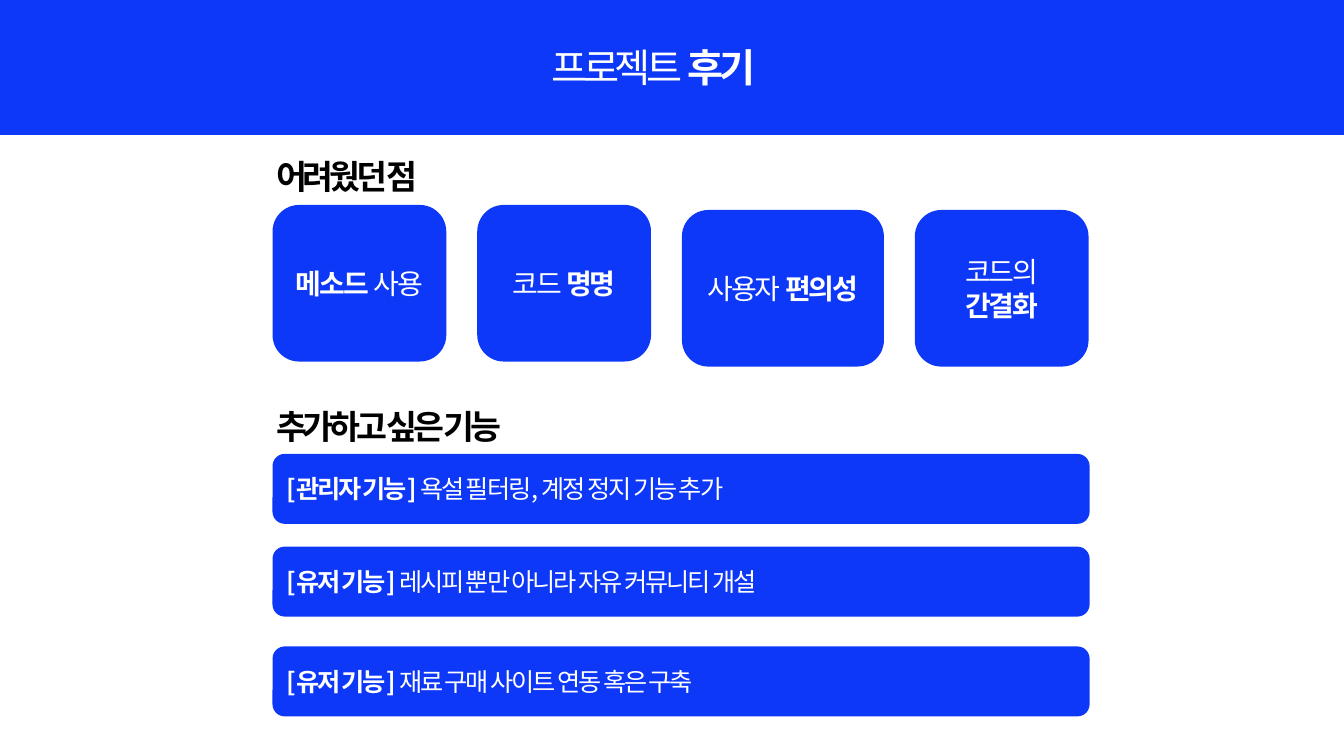
"""Build the project review slide: difficulties met and features to add."""
import pptx
import pptx.dml.color
import pptx.enum.shapes
import pptx.enum.text
import pptx.oxml.ns
import pptx.util
from lxml import etree

PX = 9144
FONT = "Noto Sans CJK KR"
COLORS = {"blue": "0D38F7", "white": "FFFFFF", "black": "000000"}
SHAPES = pptx.enum.shapes.MSO_SHAPE
ALIGN = pptx.enum.text.PP_ALIGN
ANCHOR = pptx.enum.text.MSO_ANCHOR
AUTO_SIZE = pptx.enum.text.MSO_AUTO_SIZE

STYLES = {
    "title": {"size": 28, "spacing": -300, "color": "white", "align": ALIGN.LEFT},
    "heading": {"size": 24, "spacing": -300, "color": "black", "align": ALIGN.LEFT},
    "card": {"size": 20, "spacing": -150, "color": "white", "align": ALIGN.CENTER},
    "row": {"size": 18, "spacing": -150, "color": "white", "align": ALIGN.LEFT},
}
CONTENT_LEFT = 271
CARD_GAP = 32
CARD_HEIGHT = 154
DIFFICULTIES = [
    (204, 171, [[("메소드", True), (" 사용", False)]]),
    (204, 171, [[("코드 ", False), ("명명", True)]]),
    (209, 199, [[("사용자 ", False), ("편의성", True)]]),
    (209, 171, [[("코드의", False)], [("간결화", True)]]),
]
FEATURES = [
    (451, "[관리자 기능] ", "욕설 필터링, 계정 정지 기능 추가"),
    (543, "[유저 기능] ", "레시피 뿐만 아니라 자유 커뮤니티 개설"),
    (642, "[유저 기능] ", "재료 구매 사이트 연동 혹은 구축"),
]
HEADINGS = [(150, 210, "어려웠던 점"), (398, 294, "추가하고 싶은 기능")]


def rgb(color):
    """Return the named colour as an RGBColor."""
    return pptx.dml.color.RGBColor.from_string(COLORS[color])


def apply(target, values):
    """Set each attribute of target from a dict."""
    for attribute, value in values.items():
        setattr(target, attribute, value)


def write(frame, lines, style):
    """Fill a text frame with lines of (wording, bold) pieces."""
    for number, pieces in enumerate(lines):
        line = frame.add_paragraph() if number else frame.paragraphs[0]
        line.alignment = style["align"]
        for wording, bold in pieces:
            run = line.add_run()
            run.text = wording
            apply(run.font, {"name": FONT, "size": pptx.util.Pt(style["size"]), "bold": bold})
            run.font.color.rgb = rgb(style["color"])
            properties = run._r.get_or_add_rPr()
            properties.set("spc", str(style["spacing"]))
            east_asian = etree.SubElement(properties, pptx.oxml.ns.qn("a:ea"))
            east_asian.set("typeface", FONT)


def add_panel(slide, kind, box, lines=(), style=None):
    """Add a blue panel, with text if lines are given."""
    panel = slide.shapes.add_shape(kind, *(length * PX for length in box))
    panel.shadow.inherit = False
    panel.fill.solid()
    panel.fill.fore_color.rgb = rgb("blue")
    panel.line.color.rgb = rgb("blue")
    panel.line.width = pptx.util.Pt(1)
    apply(panel.text_frame, {"word_wrap": True, "vertical_anchor": ANCHOR.MIDDLE})
    write(panel.text_frame, lines, style)


def add_label(slide, box, pieces, style):
    """Add one line of free-standing text."""
    label = slide.shapes.add_textbox(*(length * PX for length in box))
    apply(label.text_frame, {"word_wrap": True, "auto_size": AUTO_SIZE.SHAPE_TO_FIT_TEXT})
    write(label.text_frame, [pieces], style)


def add_difficulties(slide):
    """Add the row of difficulty cards with equal gaps."""
    left = CONTENT_LEFT
    for top, width, lines in DIFFICULTIES:
        box = (left, top, width, CARD_HEIGHT)
        add_panel(slide, SHAPES.ROUNDED_RECTANGLE, box, lines, STYLES["card"])
        left += width + CARD_GAP


def add_features(slide):
    """Add the stacked bars of wanted features."""
    for top, audience, feature in FEATURES:
        lines = [[(audience, True), (feature, False)]]
        box = (CONTENT_LEFT, top, 809, 68)
        add_panel(slide, SHAPES.ROUNDED_RECTANGLE, box, lines, STYLES["row"])


def main():
    """Build and save the slide."""
    deck = pptx.Presentation()
    apply(deck, {"slide_width": 1333 * PX, "slide_height": 750 * PX})
    slide = deck.slides.add_slide(deck.slide_layouts[6])
    add_panel(slide, SHAPES.RECTANGLE, (0, 0, 1333, 133))
    title = [("프로젝트", False), (" 후기", True)]
    add_label(slide, (537, 38, 260, 57), title, STYLES["title"])
    add_difficulties(slide)
    add_features(slide)
    for top, width, heading in HEADINGS:
        add_label(slide, (264, top, width, 50), [(heading, True)], STYLES["heading"])
    deck.save("out.pptx")


if __name__ == "__main__":
    main()
